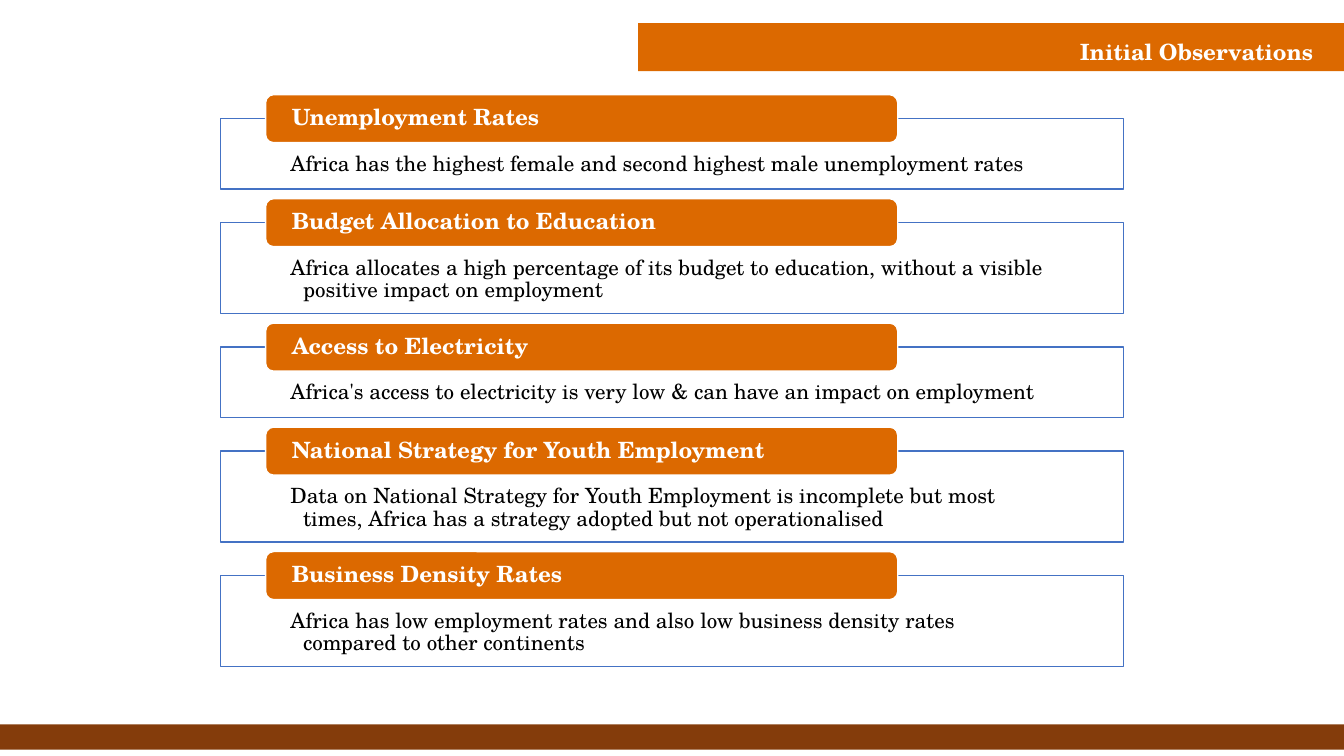
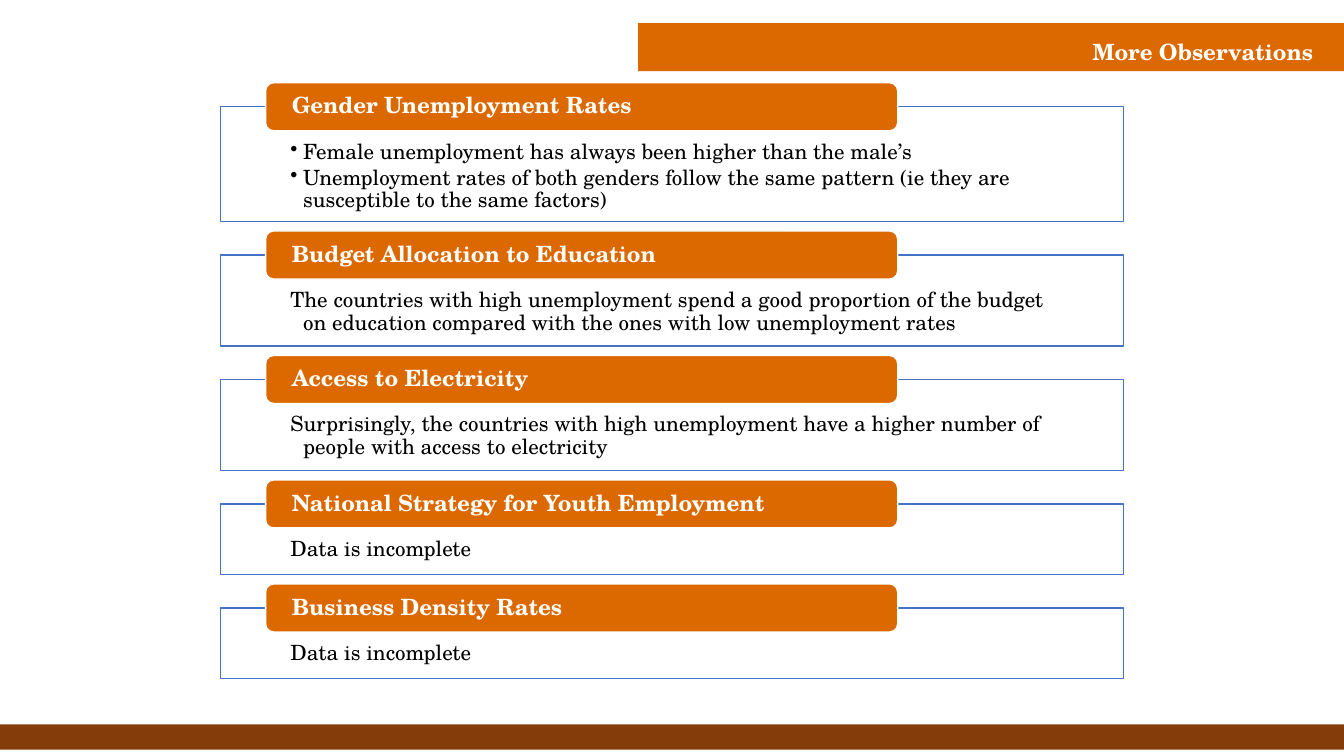
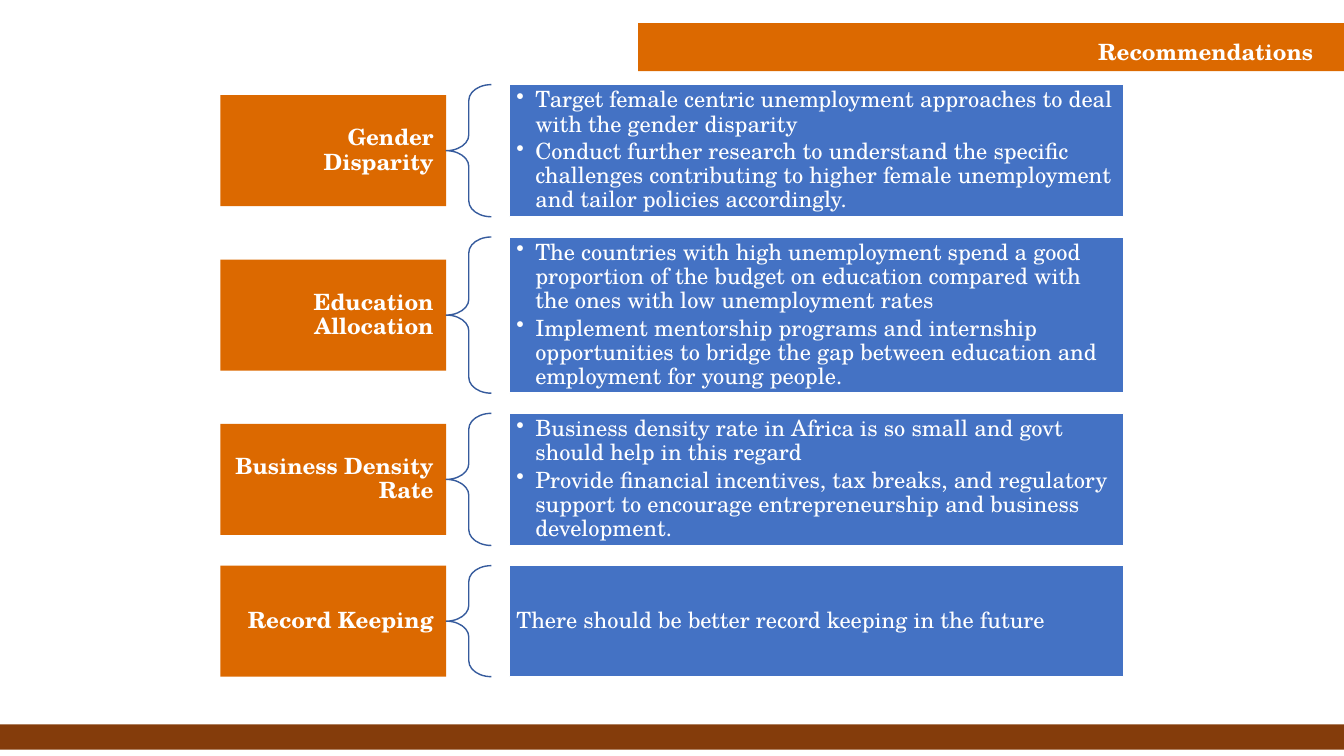
from lxml import etree
from pptx import Presentation
from pptx.dml.color import RGBColor
from pptx.enum import shapes, text
from pptx.oxml import ns
from pptx.util import Pt

FONT = "TeX Gyre Schola"
ORANGE, BROWN, BLUE, NAVY = "DC6900", "843C0B", "4472C4", "365B9D"
WHITE, BLACK = "FFFFFF", "000000"
SLIDE_WIDTH, SLIDE_HEIGHT = 960, 540
BODY_WIDTH = 645
BODY_LEFT = (SLIDE_WIDTH - BODY_WIDTH) / 2
BODY_MIDDLE = 271.9
TAB_HEIGHT = 34.3
CARD_GAP = 23.9
ONE_LINE, TWO_LINES, THREE_LINES = 50.4, 65, 82
LABEL_HEIGHT = 79.3
ROW_GAP = 14.4

INITIAL = [
    ("Unemployment Rates", ONE_LINE,
     ["Africa has the highest female and second highest male unemployment rates"]),
    ("Budget Allocation to Education", TWO_LINES,
     ["Africa allocates a high percentage of its budget to education, without a "
      "visible positive impact on employment"]),
    ("Access to Electricity", ONE_LINE,
     ["Africa's access to electricity is very low & can have an impact on employment"]),
    ("National Strategy for Youth Employment", TWO_LINES,
     ["Data on National Strategy for Youth Employment is incomplete but most times, "
      "Africa has a strategy adopted but not operationalised"]),
    ("Business Density Rates", TWO_LINES,
     ["Africa has low employment rates and also low business density rates compared "
      "to other continents"]),
]
MORE = [
    ("Gender Unemployment Rates", THREE_LINES,
     ["Female unemployment has always been higher than the male’s",
      "Unemployment rates of both genders follow the same pattern (ie they are "
      "susceptible to the same factors)"]),
    ("Budget Allocation to Education", TWO_LINES,
     ["The countries with high unemployment spend a good proportion of the budget "
      "on education compared with the ones with low unemployment rates"]),
    ("Access to Electricity", TWO_LINES,
     ["Surprisingly, the countries with high unemployment have a higher number of "
      "people with access to electricity"]),
    ("National Strategy for Youth Employment", ONE_LINE, ["Data is incomplete"]),
    ("Business Density Rates", ONE_LINE, ["Data is incomplete"]),
]
RECOMMENDATIONS = [
    ("Gender Disparity", 94.4,
     ["Target female centric unemployment approaches to deal with the gender disparity",
      "Conduct further research to understand the specific challenges contributing to "
      "higher female unemployment and tailor policies accordingly."]),
    ("Education Allocation", 111.6,
     ["The countries with high unemployment spend a good proportion of the budget on "
      "education compared with the ones with low unemployment rates",
      "Implement mentorship programs and internship opportunities to bridge the gap "
      "between education and employment for young people."]),
    ("Business Density Rate", 94.4,
     ["Business density rate in Africa is so small and govt should help in this regard",
      "Provide financial incentives, tax breaks, and regulatory support to encourage "
      "entrepreneurship and business development."]),
    ("Record Keeping", LABEL_HEIGHT,
     ["There should be better record keeping in the future"]),
]


def color(value):
    return RGBColor.from_string(value)


def add_box(slide, left, top, width, height, fill=None, line=None,
            kind=shapes.MSO_SHAPE.RECTANGLE):
    box = slide.shapes.add_shape(kind, Pt(left), Pt(top), Pt(width), Pt(height))
    box.shadow.inherit = False
    if fill:
        box.fill.solid()
        box.fill.fore_color.rgb = color(fill)
    else:
        box.fill.background()
    if line:
        box.line.color.rgb = color(line)
        box.line.width = Pt(1)
    else:
        box.line.fill.background()
    return box


def set_hanging(para, indent, bullet):
    properties = para._p.get_or_add_pPr()
    properties.set("marL", str(Pt(indent)))
    properties.set("indent", str(-Pt(indent)))
    if bullet:
        etree.SubElement(properties, ns.qn("a:buChar")).set("char", "•")


def write(box, lines, size, ink, insets, bold=False, align=text.PP_ALIGN.LEFT,
          anchor=text.MSO_ANCHOR.MIDDLE, spacing=0.9, after=0.0, hanging=0):
    """Fill a box with paragraphs; insets run left, top, right, bottom."""
    frame = box.text_frame
    frame.word_wrap = True
    frame.vertical_anchor = anchor
    (frame.margin_left, frame.margin_top,
     frame.margin_right, frame.margin_bottom) = map(Pt, insets)
    frame.text = "\n".join(lines)
    for para in frame.paragraphs:
        para.alignment = align
        para.line_spacing = spacing
        para.space_after = Pt(after * size)
        if hanging:
            set_hanging(para, hanging, bullet=len(lines) > 1)
        for span in para.runs:
            span.font.name = FONT
            span.font.size = Pt(size)
            span.font.bold = bold
            span.font.color.rgb = color(ink)


def add_slide(deck, title):
    """Add a blank slide with the shared footer band and title band."""
    slide = deck.slides.add_slide(deck.slide_layouts[6])
    add_box(slide, 0, 517.5, SLIDE_WIDTH, 18, BROWN)
    add_box(slide, 455.8, 16.5, SLIDE_WIDTH - 455.8, 34.3, ORANGE)
    box = slide.shapes.add_textbox(Pt(679.7), Pt(23.8), Pt(265.5), Pt(26.6))
    write(box, [title], 16, WHITE, (7.2, 3.6, 7.2, 3.6), bold=True, spacing=1.0,
          align=text.PP_ALIGN.RIGHT, anchor=text.MSO_ANCHOR.TOP)
    return slide


def stack(rows, gap, overhang=0):
    """Yield (top, row) for rows stacked around the middle of the body."""
    total = overhang + sum(row[1] for row in rows) + gap * (len(rows) - 1)
    top = BODY_MIDDLE - total / 2 + overhang
    for row in rows:
        yield top, row
        top += row[1] + gap


def add_card(slide, top, heading, height, lines):
    frame = add_box(slide, BODY_LEFT, top, BODY_WIDTH, height, WHITE, BLUE)
    write(frame, lines, 15, BLACK, (50, 24.5, 50, 8.5), after=0.15, hanging=9,
          anchor=text.MSO_ANCHOR.TOP)
    tab = add_box(slide, BODY_LEFT + 0.05 * BODY_WIDTH, top - TAB_HEIGHT / 2,
                  0.7 * BODY_WIDTH, TAB_HEIGHT, ORANGE, WHITE,
                  shapes.MSO_SHAPE.ROUNDED_RECTANGLE)
    write(tab, [heading], 16, WHITE, (17, 0, 17, 0), bold=True, after=0.35)


def add_recommendation(slide, top, heading, height, lines):
    """Draw a label, a brace and the panel that the brace gathers."""
    label = add_box(slide, BODY_LEFT, top + (height - LABEL_HEIGHT) / 2,
                    0.25 * BODY_WIDTH, LABEL_HEIGHT, ORANGE)
    write(label, [heading], 16, WHITE, (9, 3, 9, 3), bold=True,
          align=text.PP_ALIGN.RIGHT, after=0.35)
    brace = add_box(slide, BODY_LEFT + 0.25 * BODY_WIDTH, top, 0.05 * BODY_WIDTH,
                    height, line=NAVY, kind=shapes.MSO_SHAPE.LEFT_BRACE)
    brace.adjustments[0] = 0.35
    brace.adjustments[1] = 0.5
    panel = add_box(slide, BODY_LEFT + 0.32 * BODY_WIDTH, top, 0.68 * BODY_WIDTH,
                    height, BLUE, WHITE)
    write(panel, lines, 16, WHITE, (5, 5, 5, 5), after=0.15, hanging=13.5)


def main():
    deck = Presentation()
    deck.slide_width, deck.slide_height = Pt(SLIDE_WIDTH), Pt(SLIDE_HEIGHT)
    for title, cards in (("Initial Observations", INITIAL), ("More Observations", MORE)):
        slide = add_slide(deck, title)
        for top, card in stack(cards, CARD_GAP, overhang=TAB_HEIGHT / 2):
            add_card(slide, top, *card)
    slide = add_slide(deck, "Recommendations")
    for top, row in stack(RECOMMENDATIONS, ROW_GAP):
        add_recommendation(slide, top, *row)
    deck.save("out.pptx")


if __name__ == "__main__":
    main()
